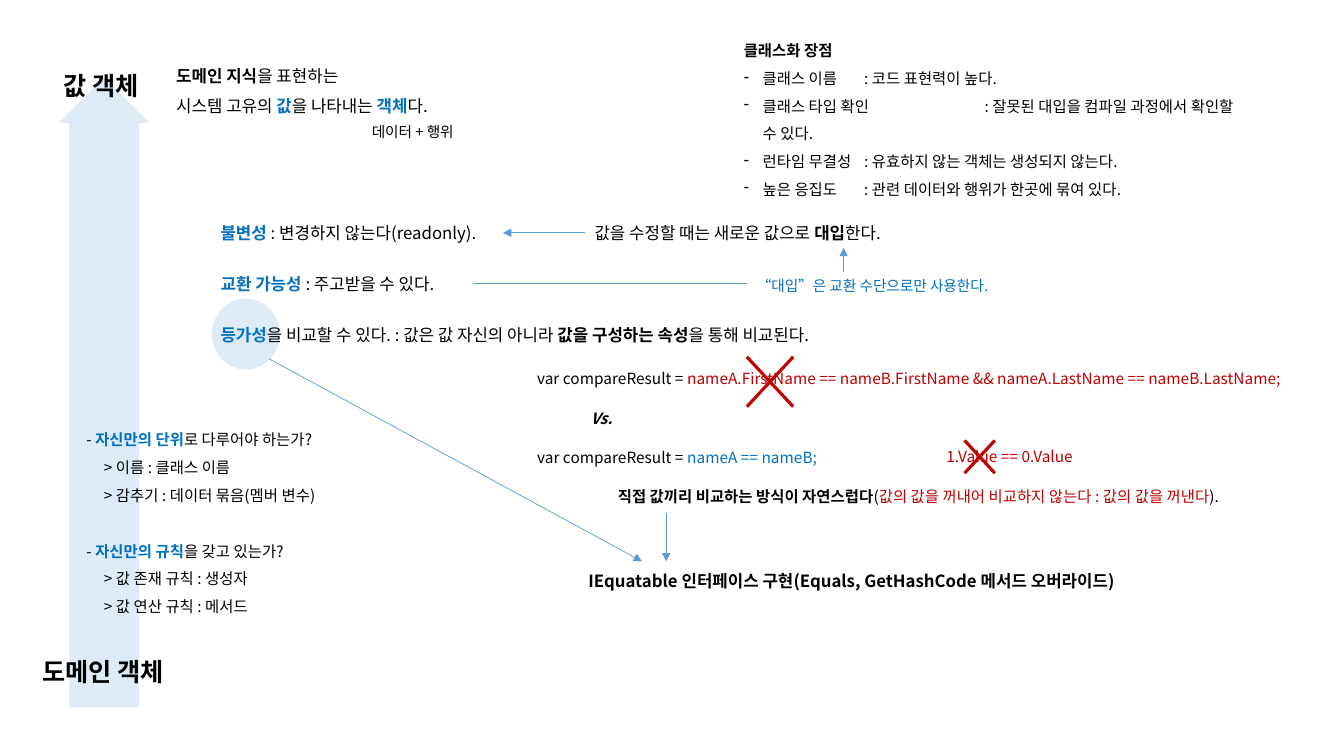
import dataclasses

import lxml.etree
import pptx
import pptx.dml.color
import pptx.enum.shapes
import pptx.enum.text
import pptx.oxml.ns
import pptx.util

Pt = pptx.util.Pt
qn = pptx.oxml.ns.qn
SHAPE = pptx.enum.shapes.MSO_SHAPE
CONNECTOR = pptx.enum.shapes.MSO_CONNECTOR


@dataclasses.dataclass(frozen=True)
class Theme:
    font: str = "Noto Sans CJK KR"
    black: str = "000000"
    white: str = "FFFFFF"
    blue: str = "0070C0"
    red: str = "C00000"
    pale: str = "DEEBF7"
    arrow: str = "5B9BD5"
    heading: float = 18
    body: float = 12
    detail: float = 11
    note: float = 10.5
    thin: float = 0.5
    outline: float = 1
    thick: float = 2.25


def rgb(value):
    return pptx.dml.color.RGBColor.from_string(value)


class SlideBuilder:
    def __init__(self, slide, theme):
        self.slide = slide
        self.theme = theme

    def fill_text(self, shape, paragraphs, size, spacing=1.0):
        frame = shape.text_frame
        frame.word_wrap = False
        frame.auto_size = pptx.enum.text.MSO_AUTO_SIZE.SHAPE_TO_FIT_TEXT
        frame.vertical_anchor = pptx.enum.text.MSO_ANCHOR.TOP
        frame.margin_left = frame.margin_right = Pt(7.2)
        frame.margin_top = frame.margin_bottom = Pt(3.6)
        for index, runs in enumerate(paragraphs):
            paragraph = frame.add_paragraph() if index else frame.paragraphs[0]
            paragraph.alignment = pptx.enum.text.PP_ALIGN.LEFT
            paragraph.line_spacing = spacing
            font = paragraph.font
            font.name = self.theme.font
            font.size = Pt(size)
            font.bold = False
            font.color.rgb = rgb(self.theme.black)
            east_asian = lxml.etree.Element(qn("a:ea"), typeface=self.theme.font)
            font._element.find(qn("a:latin")).addnext(east_asian)
            for text, style in runs:
                self.add_run(paragraph, text, style)
        return shape

    def add_run(self, paragraph, text, style):
        run = paragraph.add_run()
        run.text = text
        if "bold" in style:
            run.font.bold = True
        if "italic" in style:
            run.font.italic = True
        for colour in ("blue", "red"):
            if colour in style:
                run.font.color.rgb = rgb(getattr(self.theme, colour))

    def title(self, text, left, top, width, height):
        shape = self.slide.shapes.title
        shape.left, shape.top, shape.width, shape.height = map(Pt, (left, top, width, height))
        return self.fill_text(shape, [[(text, "bold")]], self.theme.heading)

    def text(self, paragraphs, left, top, width, height, size, spacing=1.0):
        shape = self.slide.shapes.add_textbox(Pt(left), Pt(top), Pt(width), Pt(height))
        return self.fill_text(shape, paragraphs, size, spacing)

    def shape(self, kind, left, top, width, height, fill, outlined=True):
        shape = self.slide.shapes.add_shape(kind, Pt(left), Pt(top), Pt(width), Pt(height))
        shape.shadow.inherit = False
        shape.fill.solid()
        shape.fill.fore_color.rgb = rgb(fill)
        if outlined:
            shape.line.color.rgb = rgb(fill)
            shape.line.width = Pt(self.theme.outline)
        else:
            shape.line.fill.background()
        return shape

    def line(self, start, end, colour, width, arrow=False, kind=CONNECTOR.STRAIGHT):
        connector = self.slide.shapes.add_connector(kind, *map(Pt, (*start, *end)))
        connector.line.color.rgb = rgb(colour)
        connector.line.width = Pt(width)
        properties = connector._element.spPr
        if arrow:
            lxml.etree.SubElement(properties.find(qn("a:ln")), qn("a:tailEnd"), type="triangle")
        lxml.etree.SubElement(properties, qn("a:effectLst"))
        return connector

    def arrow(self, start, end, kind=CONNECTOR.STRAIGHT):
        return self.line(start, end, self.theme.arrow, self.theme.thin, True, kind)

    def cross(self, left, top, width, height):
        for first, last in ((left, left + width), (left + width, left)):
            self.line((first, top), (last, top + height), self.theme.red, self.theme.thick)


def add_axis(builder):
    theme = builder.theme
    axis = builder.shape(SHAPE.UP_ARROW, 43.2, 56.2, 62.6, 448.6, theme.pale)
    axis.adjustments[0], axis.adjustments[1] = 0.78, 0.5
    title = builder.title("값 객체", 38.2, 46.8, 75.6, 28.8)
    title._element.addprevious(axis._element)
    builder.text([[("도메인 객체", "bold")]], 23, 465.1, 111.6, 28.8, theme.heading)
    definition = [
        [("도메인 지식", "bold"), ("을 표현하는", "")],
        [("시스템 고유의 ", ""), ("값", "bold blue"), ("을 나타내는 ", ""),
         ("객체", "bold blue"), ("다.", "")],
    ]
    builder.text(definition, 118.8, 36, 216, 51.1, theme.body, 1.5)
    builder.text([[("데이터 + 행위", "")]], 258.5, 84.2, 85.7, 20.9, theme.note)


def add_traits(builder):
    theme = builder.theme
    builder.shape(SHAPE.OVAL, 151.9, 213.8, 47.5, 49.7, theme.pale)
    traits = [
        (208.8, [("불변성 ", "bold blue"), (": 변경하지 않는다(readonly).", "")]),
        (186.5, [("교환 가능성 ", "bold blue"), (": 주고받을 수 있다.", "")]),
        (487.4, [("등가성", "bold blue"), ("을 비교할 수 있다. : 값은 값 자신의 아니라 ", ""),
                 ("값을 구성하는 속성", "bold"), ("을 통해 비교된다.", "")]),
    ]
    immutable, _, _ = [
        builder.text([runs], 150.5, 155.5 + 36.3 * row, width, 21.6, theme.body)
        for row, (width, runs) in enumerate(traits)
    ]
    assignment = builder.text(
        [[("값을 수정할 때는 새로운 값으로 ", ""), ("대입", "bold"), ("한다.", "")]],
        417.6, 155.5, 244.8, 21.6, theme.body)
    exchange = builder.arrow((337.7, 202.3), (602.6, 177.1), CONNECTOR.ELBOW)
    exchange._element.spPr.find(qn("a:prstGeom")).set("prst", "bentConnector2")
    replace = builder.arrow((417.6, 166.3), (359.3, 166.3))
    replace.begin_connect(assignment, 1)
    replace.end_connect(immutable, 3)
    note = builder.shape(SHAPE.RECTANGLE, 533.5, 194.4, 185, 20.2, theme.white, False)
    builder.fill_text(note, [[("“대입”은 교환 수단으로만 사용한다.", "blue")]], theme.note)


def add_comparison(builder):
    theme = builder.theme
    declaration = ("var compareResult = ", "")
    lines = [
        (376.6, 259.9, 550.1, [declaration, (
            "nameA.FirstName == nameB.FirstName && nameA.LastName == nameB.LastName;", "red")]),
        (376.6, 316.8, 219.6, [declaration, ("nameA == nameB;", "blue")]),
        (414.7, 288.7, 30.2, [("Vs.", "bold italic")]),
        (434.2, 344.2, 495.4, [
            ("직접 값끼리 비교하는 방식이 자연스럽다", "bold"), ("(", ""),
            ("값의 값을 꺼내어 비교하지 않는다 : 값의 값을 꺼낸다", "red"), (").", "")]),
        (668.9, 316.1, 110.9, [("1.Value == 0.Value", "red")]),
    ]
    for left, top, width, runs in lines:
        builder.text([runs], left, top, width, 20.9, theme.detail)
    builder.cross(533.5, 254.9, 33.1, 35.6)
    builder.cross(689, 314.6, 21.6, 23.4)
    builder.text(
        [[("IEquatable 인터페이스 구현(Equals, GetHashCode 메서드 오버라이드)", "bold")]],
        413.3, 403.9, 405.4, 21.6, theme.body)
    builder.arrow((192.2, 256.3), (458.6, 401))
    builder.arrow((475.9, 366.5), (475.9, 401))


def add_questions(builder):
    questions = [
        [("- ", ""), ("자신만의 단위", "bold blue"), ("로 다루어야 하는가?", "")],
        [("> 이름 : 클래스 이름", "")],
        [("> 감추기 : 데이터 묶음(멤버 변수)", "")],
        [("- ", ""), ("자신만의 규칙", "bold blue"), ("을 갖고 있는가?", "")],
        [("> 값 존재 규칙 : 생성자", "")],
        [("> 값 연산 규칙 : 메서드", "")],
    ]
    box = builder.text(questions, 54.7, 297.4, 203.8, 146.9, builder.theme.detail, 1.5)
    for index, paragraph in enumerate(box.text_frame.paragraphs):
        if index % 3:
            paragraph._p.get_or_add_pPr().set("marL", str(Pt(12.5)))
    box.text_frame.paragraphs[3].space_before = Pt(20)


def add_advantages(builder):
    advantages = [
        ("클래스 이름", "코드 표현력이 높다."),
        ("클래스 타입 확인", "잘못된 대입을 컴파일 과정에서 확인할 수 있다."),
        ("런타임 무결성", "유효하지 않는 객체는 생성되지 않는다."),
        ("높은 응집도", "관련 데이터와 행위가 한곳에 묶여 있다."),
    ]
    paragraphs = [[("클래스화 장점", "bold")]]
    paragraphs += [[(f"{name}\t: {reason}", "")] for name, reason in advantages]
    box = builder.text(paragraphs, 524.2, 19.4, 372.2, 107.3, builder.theme.detail, 1.5)
    for paragraph in box.text_frame.paragraphs[1:]:
        properties = paragraph._p.get_or_add_pPr()
        properties.set("marL", str(Pt(13.5)))
        properties.set("indent", str(-Pt(13.5)))
        properties.set("defTabSz", str(Pt(86)))
        bullet = lxml.etree.Element(qn("a:buChar"), char="-")
        properties.find(qn("a:defRPr")).addprevious(bullet)


def main():
    presentation = pptx.Presentation()
    presentation.slide_width, presentation.slide_height = Pt(960), Pt(540)
    slide = presentation.slides.add_slide(presentation.slide_layouts[5])
    builder = SlideBuilder(slide, Theme())
    for add_part in (add_axis, add_traits, add_comparison, add_questions, add_advantages):
        add_part(builder)
    presentation.save("out.pptx")


if __name__ == "__main__":
    main()
